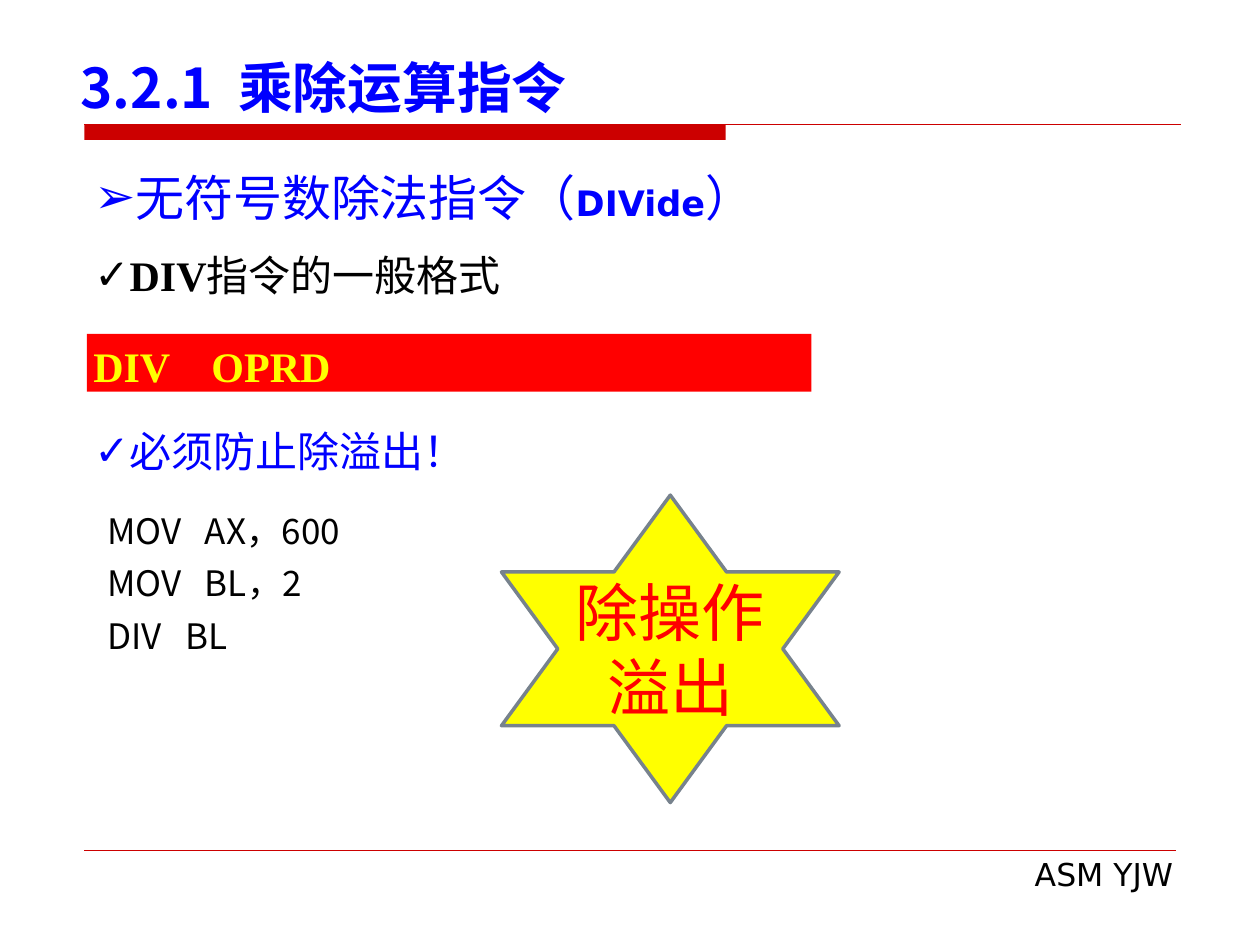
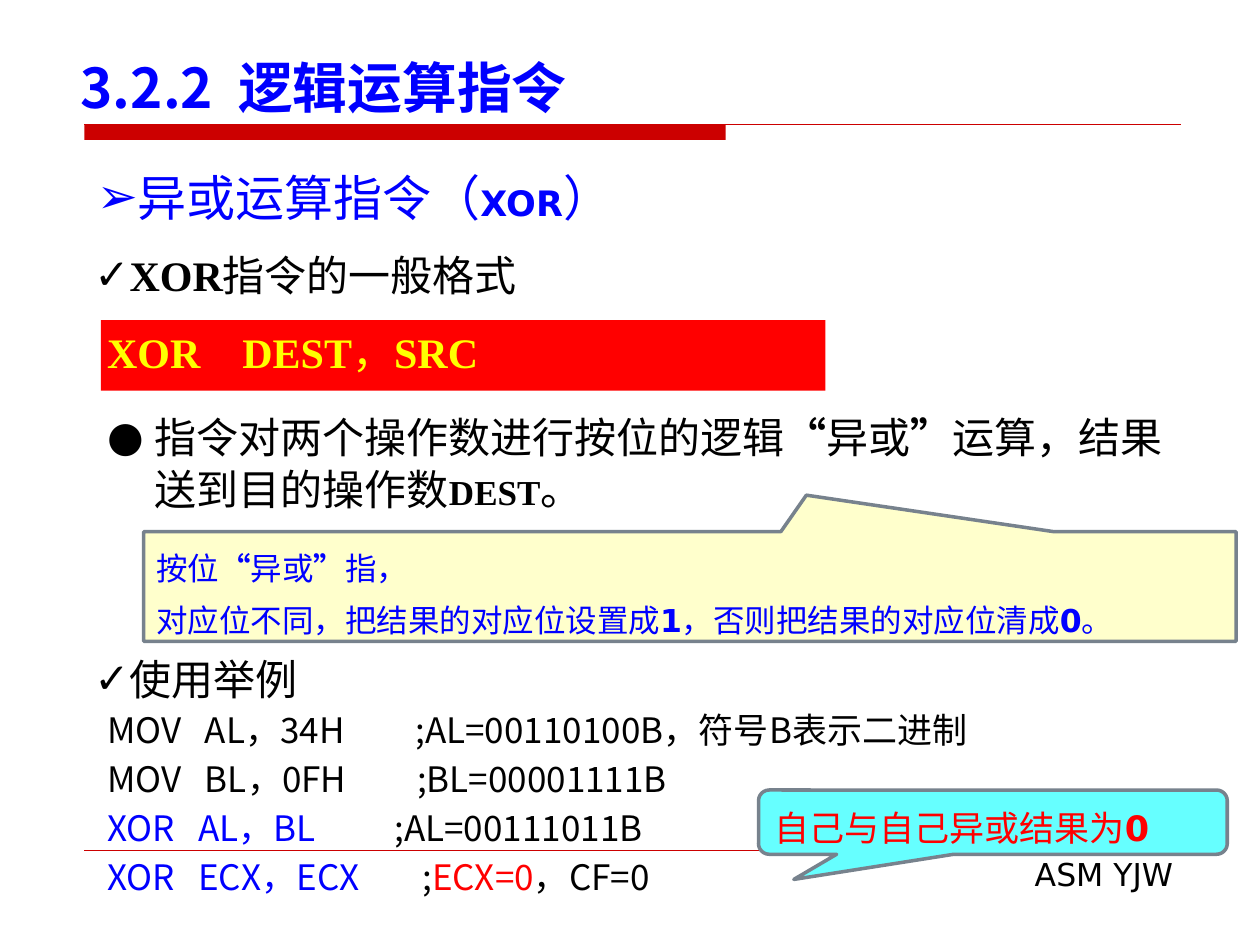
from lxml.etree import SubElement
from pptx import Presentation
from pptx.dml.color import RGBColor
from pptx.enum.shapes import MSO_CONNECTOR, MSO_SHAPE
from pptx.enum.text import MSO_ANCHOR, PP_ALIGN
from pptx.oxml.ns import qn
from pptx.util import Inches, Pt

BLACK = RGBColor(0, 0, 0)
BLUE = RGBColor(0, 0, 255)
RED = RGBColor(255, 0, 0)
BRICK = RGBColor(204, 0, 0)
YELLOW = RGBColor(255, 255, 0)
CREAM = RGBColor(255, 255, 204)
CYAN = RGBColor(102, 255, 255)
GRAY = RGBColor(0x77, 0x82, 0x8D)
HAN = "Noto Sans CJK SC"
SANS = "DejaVu Sans"
SERIF = "Times New Roman"


def style(font, size=None, color=None, face=None, bold=None):
    """Apply the given traits to a font."""
    if size:
        font.size = Pt(size)
    if color is not None:
        font.color.rgb = color
    if bold is not None:
        font.bold = bold
    if face:
        font.name = face
        SubElement(font._element, qn("a:ea")).set("typeface", HAN)


def strong(text, face, **look):
    """Describe a bold run in a given face."""
    return text, dict(face=face, bold=True, **look)


def write(shape, rows, size, color=BLACK, face=HAN, bold=None, mark=None,
          hang=0, pitch=None, gap=0, align=PP_ALIGN.LEFT,
          anchor=MSO_ANCHOR.TOP, inset=(0.05, 0.05)):
    """Fill a shape with paragraphs, each a list of runs."""
    frame = shape.text_frame
    frame.word_wrap = True
    frame.vertical_anchor = anchor
    frame.margin_left = frame.margin_right = Inches(inset[0])
    frame.margin_top = frame.margin_bottom = Inches(inset[1])
    for i, runs in enumerate(rows):
        para = frame.add_paragraph() if i else frame.paragraphs[0]
        para.alignment = align
        if pitch:
            para.line_spacing = Pt(pitch)
        if i and gap:
            para.space_before = Pt(gap)
        if mark:
            props = para._p.get_or_add_pPr()
            props.set("marL", str(Inches(hang)))
            props.set("indent", str(-Inches(hang)))
            SubElement(props, qn("a:buFont")).set("typeface", SANS)
            SubElement(props, qn("a:buChar")).set("char", mark)
        style(para.font, size, color, face, bold)
        for item in runs:
            text, look = (item, {}) if isinstance(item, str) else item
            run = para.add_run()
            run.text = text
            style(run.font, **look)


def label(slide, box, rows, size, **look):
    """Add a text box."""
    shape = slide.shapes.add_textbox(*map(Inches, box))
    write(shape, rows, size, **look)


def block(slide, kind, box, fill, edge=None):
    """Add a filled shape, with an outline if an edge colour is given."""
    shape = slide.shapes.add_shape(kind, *map(Inches, box))
    shape.shadow.inherit = False
    shape.fill.solid()
    shape.fill.fore_color.rgb = fill
    if edge is None:
        shape.line.fill.background()
    else:
        shape.line.color.rgb = edge
        shape.line.width = Pt(2)
    return shape


def rule(slide, left, top, width, weight):
    """Draw a level line."""
    line = slide.shapes.add_connector(
        MSO_CONNECTOR.STRAIGHT, *map(Inches, (left, top, left + width, top)))
    line.line.color.rgb = BRICK
    line.line.width = Pt(weight)
    SubElement(line._element.spPr, qn("a:effectLst"))


def base(deck, title):
    """Start a slide with its title, band and footer."""
    slide = deck.slides.add_slide(deck.slide_layouts[6])
    block(slide, MSO_SHAPE.RECTANGLE, (0.67, 0.99, 5.09, 0.12), BRICK)
    rule(slide, 0.67, 0.99, 8.7, 0.75)
    rule(slide, 0.67, 6.75, 8.66, 0.25)
    label(slide, (3.87, 6.74, 5.49, 0.41), [["ASM YJW"]], 18, face=SANS,
          align=PP_ALIGN.RIGHT)
    label(slide, (0.59, 0.29, 9.06, 0.71), [[title]], 31.3, color=BLUE,
          bold=True, anchor=MSO_ANCHOR.BOTTOM)
    return slide


def topic(slide, left, name, code):
    """Add the blue topic line with its mnemonic."""
    runs = [name + "（", strong(code, SANS, size=20), "）"]
    label(slide, (left, 1.28, 8.56, 0.66), [runs], 28, color=BLUE, mark="➢",
          align=PP_ALIGN.JUSTIFY)


def check(slide, top, runs, color=BLACK):
    """Add a ticked heading."""
    label(slide, (0.7, top, 7.23, 0.56), [runs], 24, color=color, mark="✓")


def syntax(slide, box, runs):
    """Add the red bar that shows the instruction format."""
    bar = block(slide, MSO_SHAPE.RECTANGLE, box, RED)
    write(bar, [runs], 24, color=YELLOW, face=SERIF, bold=True)


def note(slide, kind, box, tip, fill, rows, size, color):
    """Add a callout whose tail ends at the tip."""
    left, top, width, height = box
    shape = block(slide, kind, box, fill, GRAY)
    shape.adjustments[0] = (tip[0] - left) / width - 0.5
    shape.adjustments[1] = (tip[1] - top) / height - 0.5
    write(shape, rows, size, color=color, pitch=30,
          anchor=MSO_ANCHOR.MIDDLE, inset=(0.1, 0))


def burst(slide, box, text):
    """Add a star with a warning in its middle."""
    left, top, width, height = box
    block(slide, MSO_SHAPE.STAR_6_POINT, box, YELLOW, GRAY)
    wide, high = 1.69, 1.49
    inner = (left + (width - wide) / 2, top + (height - high) / 2, wide, high)
    label(slide, inner, [[text]], 36, color=RED, align=PP_ALIGN.CENTER,
          anchor=MSO_ANCHOR.MIDDLE)


def divide(deck):
    """Build the slide on DIV."""
    slide = base(deck, "3.2.1  乘除运算指令")
    check(slide, 1.93, [strong("DIV", SERIF), "指令的一般格式"])
    syntax(slide, (0.69, 2.65, 5.75, 0.46), ["DIV    OPRD"])
    topic(slide, 0.7, "无符号数除法指令", "DIVide")
    check(slide, 3.33, ["必须防止除溢出！"], BLUE)
    code = [["MOV   AX，600"], ["MOV   BL，2"], ["DIV   BL"]]
    label(slide, (0.8, 3.91, 7.72, 1.33), code, 20, pitch=30)
    burst(slide, (3.98, 3.93, 2.68, 2.44), "除操作溢出")


def logic(deck):
    """Build the slide on XOR."""
    slide = base(deck, "3.2.2  逻辑运算指令")
    check(slide, 1.93, [strong("XOR", SERIF), "指令的一般格式"])
    syntax(slide, (0.8, 2.54, 5.75, 0.56),
           ["XOR    DEST", ("，", dict(face=HAN, bold=False)), "SRC"])
    runs = ["指令对两个操作数进行按位的逻辑", strong("“", SERIF), "异或",
            strong("”", SERIF), "运算，结果送到目的操作数",
            strong("DEST", SERIF, size=20), "。"]
    label(slide, (0.8, 3.2, 8.48, 0.96), [runs], 24, mark="●", hang=0.38,
          pitch=30)
    topic(slide, 0.72, "异或运算指令", "XOR")
    check(slide, 5.14, ["使用举例"])
    blue, red = dict(color=BLUE), dict(color=RED)
    code = [["MOV   AL，34H         ;AL=00110100B，符号B表示二进制"],
            ["MOV   BL，0FH         ;BL=00001111B"],
            [("XOR   AL，BL          ", blue), ";AL=00111011B"],
            [("XOR   ECX，ECX        ", blue), ";", ("ECX=0", red), "，CF=0"]]
    label(slide, (0.8, 5.57, 7.72, 1.86), code, 20, gap=4)
    note(slide, MSO_SHAPE.ROUNDED_RECTANGULAR_CALLOUT,
         (6.02, 6.27, 3.72, 0.51), (6.3, 6.98), CYAN,
         [["自己与自己异或结果为", strong("0", SANS)]], 20, RED)
    rows = [["按位", strong("“", SANS), "异或", strong("”", SANS), "指，"],
            ["对应位不同，把结果的对应位设置成", strong("1", SANS),
             "，否则把结果的对应位清成", strong("0", SANS), "。"]]
    note(slide, MSO_SHAPE.RECTANGULAR_CALLOUT, (1.14, 4.22, 8.67, 0.87),
         (6.4, 3.93), CREAM, rows, 18, BLUE)


def main():
    """Build and save the deck."""
    deck = Presentation()
    deck.slide_width, deck.slide_height = Inches(10), Inches(7.5)
    divide(deck)
    logic(deck)
    deck.save("out.pptx")


if __name__ == "__main__":
    main()
